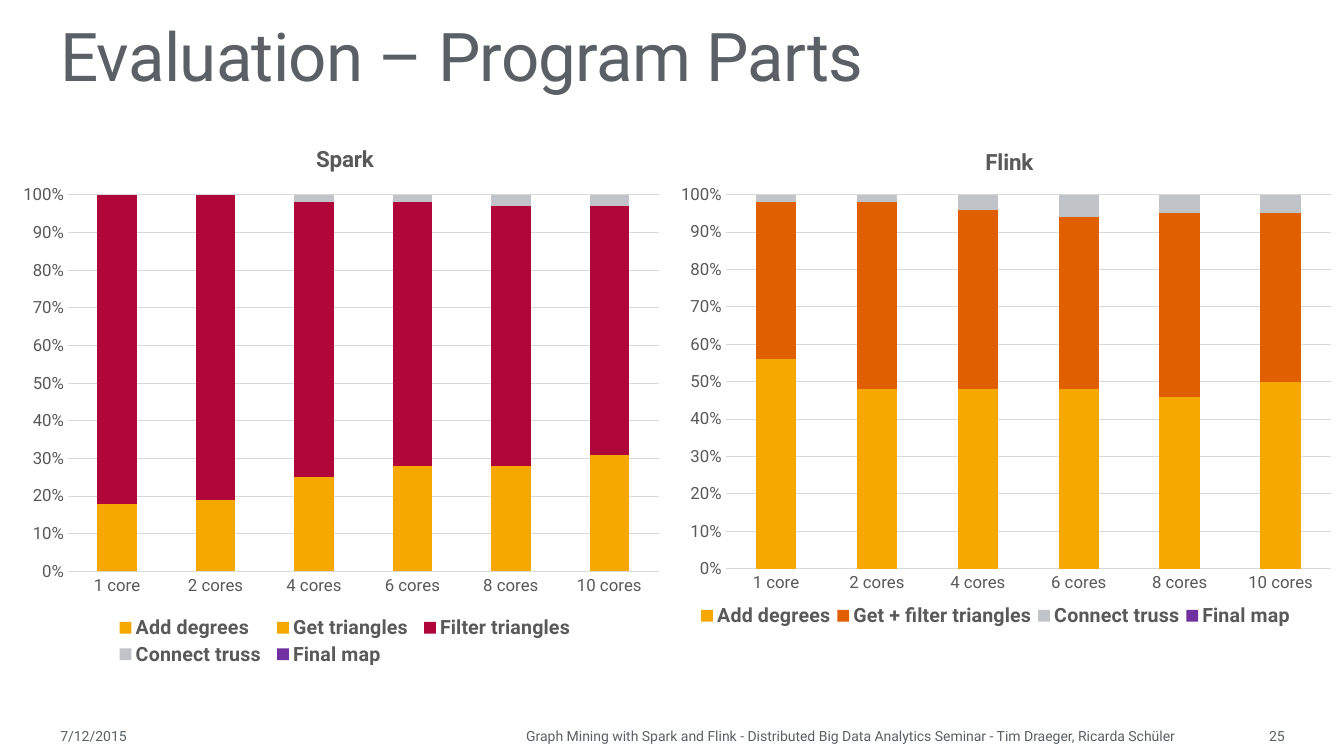
import pptx
import pptx.chart.data
import pptx.dml.color
import pptx.enum.chart
import pptx.enum.text
import pptx.oxml
import pptx.oxml.ns
import pptx.util
from pptx.util import Inches

FONT = "Roboto"
COLORS = {"heading": "5A6065", "label": "595959", "grid": "D9D9D9",
          "amber": "F6A800", "crimson": "B1063A", "orange": "E05F00",
          "silver": "C0C4C8", "purple": "7030A0"}

# Content
ALIGN = pptx.enum.text.PP_ALIGN
ANCHOR = pptx.enum.text.MSO_ANCHOR
TITLE = "Evaluation – Program Parts"
FOOTER = [  # text, left, width, alignment
    ("7/12/2015", 0.5, 1.05, ALIGN.LEFT),
    ("Graph Mining with Spark and Flink - Distributed Big Data Analytics Seminar"
     " - Tim Draeger, Ricarda Schüler", 1.59, 10.16, ALIGN.RIGHT),
    ("25", 11.79, 1.05, ALIGN.RIGHT),
]
CORES = ["1 core"] + [f"{n} cores" for n in (2, 4, 6, 8, 10)]
CHARTS = [  # layouts are fractions of the chart: x, y, width, height
    {"title": "Spark", "box": (0.11, 1.18, 6.56, 5.51),
     "title_at": (0.455, 0.04), "plot_at": (0.086, 0.137, 0.893, 0.678),
     "legend_at": (0.15, 0.89, 0.71, 0.1),
     "series": [
         ("Add degrees", "amber", (0, 0.01, 0.01, 0.02, 0.02, 0.02)),
         ("Get triangles", "amber", (0.18, 0.18, 0.24, 0.26, 0.26, 0.29)),
         ("Filter triangles", "crimson", (0.82, 0.81, 0.73, 0.7, 0.69, 0.66)),
         ("Connect truss", "silver", (0, 0.01, 0.02, 0.02, 0.03, 0.04)),
         ("Final map", "purple", (0, 0, 0, 0, 0, 0))]},
    {"title": "Flink", "box": (6.62, 1.19, 6.71, 5.19),
     "title_at": (0.464, 0.045), "plot_at": (0.086, 0.143, 0.895, 0.715),
     "legend_at": (0.04, 0.92, 0.89, 0.055),
     "series": [
         ("Add degrees", "amber", (0.56, 0.48, 0.48, 0.48, 0.46, 0.5)),
         ("Get + filter triangles", "orange", (0.42, 0.5, 0.48, 0.46, 0.49, 0.45)),
         ("Connect truss", "silver", (0.02, 0.03, 0.05, 0.06, 0.05, 0.05)),
         ("Final map", "purple", (0, 0, 0, 0, 0, 0))]},
]


def rgb(name):
    return pptx.dml.color.RGBColor.from_string(COLORS[name])


def style_font(font, size, color, bold=False):
    font.name, font.size, font.bold = FONT, pptx.util.Pt(size), bold
    font.color.rgb = rgb(color)


def style_line(line, color):
    line.color.rgb = rgb(color)
    line.width = pptx.util.Pt(0.75)


def add_text(slide, text, box, size, anchor, align=ALIGN.LEFT):
    tf = slide.shapes.add_textbox(*map(Inches, box)).text_frame
    tf.word_wrap = True
    tf.vertical_anchor = anchor
    p = tf.paragraphs[0]
    p.alignment = align
    r = p.add_run()
    r.text = text
    style_font(r.font, size, "heading")
    return p


def place(chart, tag, index, fractions, inner=False):
    """Give a chart part a manual layout, as its child at index."""
    element = chart.element.find(".//" + pptx.oxml.ns.qn(tag))
    for old in element.findall(pptx.oxml.ns.qn("c:layout")):
        element.remove(old)
    target = '<c:layoutTarget val="inner"/>' if inner else ""
    modes = '<c:xMode val="edge"/><c:yMode val="edge"/>'
    values = "".join(f'<c:{key} val="{v}"/>' for key, v in zip("xywh", fractions))
    element.insert(index, pptx.oxml.parse_xml(
        f'<c:layout {pptx.oxml.ns.nsdecls("c")}><c:manualLayout>'
        f"{target}{modes}{values}</c:manualLayout></c:layout>"))


def add_stacked_chart(slide, item):
    data = pptx.chart.data.CategoryChartData(number_format="0.00")
    data.categories = CORES
    for name, _, values in item["series"]:
        data.add_series(name, values)
    chart = slide.shapes.add_chart(
        pptx.enum.chart.XL_CHART_TYPE.COLUMN_STACKED,
        *map(Inches, item["box"]), data).chart
    style_font(chart.font, 12, "label")

    # Columns
    plot = chart.plots[0]
    plot.gap_width, plot.overlap = 150, 100
    plot.vary_by_categories = False
    for series, (_, color, _) in zip(plot.series, item["series"]):
        series.format.fill.solid()
        series.format.fill.fore_color.rgb = rgb(color)

    # Axes
    for axis in (chart.category_axis, chart.value_axis):
        axis.major_tick_mark = pptx.enum.chart.XL_TICK_MARK.NONE
        axis.minor_tick_mark = pptx.enum.chart.XL_TICK_MARK.NONE
        style_font(axis.tick_labels.font, 12, "label")
    style_line(chart.category_axis.format.line, "grid")
    value_axis = chart.value_axis
    value_axis.minimum_scale, value_axis.maximum_scale = 0, 1
    value_axis.major_unit = 0.1
    value_axis.tick_labels.number_format = "0%"
    value_axis.tick_labels.number_format_is_linked = False
    value_axis.format.line.fill.background()
    style_line(value_axis.major_gridlines.format.line, "grid")

    # Title and legend
    chart.has_title = True
    r = chart.chart_title.text_frame.paragraphs[0].add_run()
    r.text = item["title"]
    style_font(r.font, 16, "label", bold=True)
    chart.has_legend = True
    legend = chart.legend
    legend.position = pptx.enum.chart.XL_LEGEND_POSITION.BOTTOM
    legend.include_in_layout = False
    style_font(legend.font, 14, "label", bold=True)

    # Places of the chart parts
    place(chart, "c:plotArea", 0, item["plot_at"], inner=True)
    place(chart, "c:title", 1, item["title_at"])
    place(chart, "c:legend", 1, item["legend_at"])


def main():
    prs = pptx.Presentation()
    prs.slide_width, prs.slide_height = Inches(13.33), Inches(7.5)
    slide = prs.slides.add_slide(prs.slide_layouts[6])

    # Heading
    p = add_text(slide, TITLE, (0.5, 0, 11.04, 0.99), 48, ANCHOR.BOTTOM)
    p.line_spacing = 0.85
    p.runs[0].font._element.set("spc", "-50")

    # Charts
    for item in CHARTS:
        add_stacked_chart(slide, item)

    # Footer
    for text, left, width, align in FOOTER:
        add_text(slide, text, (left, 7.11, width, 0.39), 10, ANCHOR.MIDDLE, align)

    prs.save("out.pptx")


if __name__ == "__main__":
    main()
